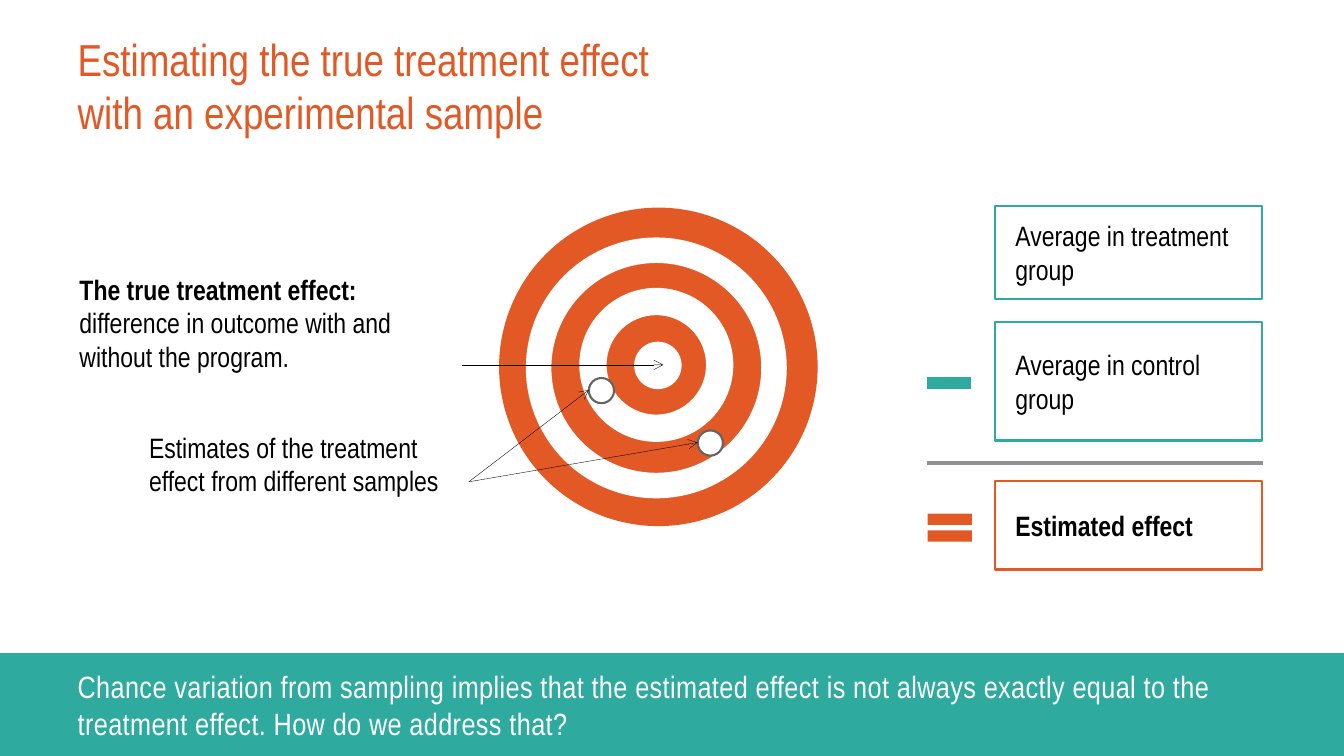
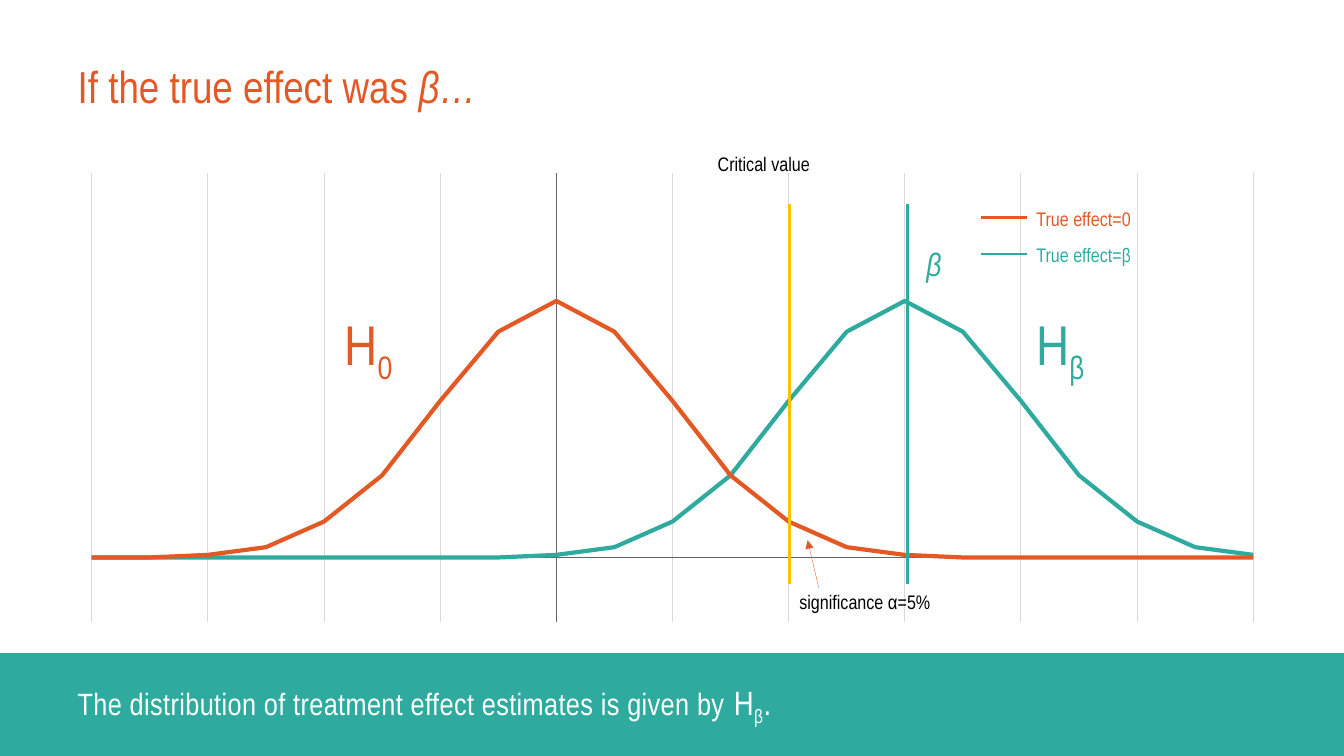
from dataclasses import dataclass

from lxml.etree import SubElement
from pptx import Presentation
from pptx.chart.data import XyChartData
from pptx.dml.color import RGBColor
from pptx.enum.chart import XL_CHART_TYPE, XL_TICK_LABEL_POSITION, XL_TICK_MARK
from pptx.enum.shapes import MSO_CONNECTOR, MSO_SHAPE
from pptx.enum.text import MSO_ANCHOR, MSO_AUTO_SIZE, PP_ALIGN
from pptx.oxml.ns import qn
from pptx.util import Inches, Pt


@dataclass(frozen=True)
class Theme:
    orange: str = "E35925"
    teal: str = "2FAA9F"
    yellow: str = "FFC000"
    white: str = "FFFFFF"
    black: str = "000000"
    dark_gray: str = "646464"
    mid_gray: str = "919191"
    light_gray: str = "D9D9D9"
    font: str = "Arial Narrow"
    chart_font: str = "Quicksand"
    title: int = 32
    takeaway: int = 22
    body: int = 20
    label: int = 14
    symbol: int = 40
    chart_text: int = 10


THEME = Theme()
SUBSCRIPT = {"baseline": -25000}


def color(value):
    return RGBColor.from_string(value)


class SlideWriter:
    """Holds the deck, its theme and the slide being written."""

    def __init__(self, theme):
        self.theme = theme
        self.deck = Presentation()
        self.deck.slide_width = Inches(13.33)
        self.deck.slide_height = Inches(7.5)
        self.layout = self.deck.slide_layouts[1]
        self.slide = None

    # Slide frame: title, takeaway and the shared band
    def new_slide(self, title_lines, takeaway):
        first = self.slide is None
        self.slide = self.deck.slides.add_slide(self.layout)
        if first:
            band = self.shape(MSO_SHAPE.RECTANGLE, 0, 6.48, 13.33, 1.02, self.theme.teal)
            self.layout.shapes._spTree.insert(2, band._element)
        title, body = self.slide.placeholders
        para = self.place(title, 0.21, 1.27)
        for index, spans in enumerate(title_lines):
            if index:
                para.add_line_break()
            self.spans(para, spans, self.theme.title, self.theme.orange)
        para = self.place(body, 6.48, 1.02)
        para.space_after = Pt(8)
        self.spans(para, takeaway, self.theme.takeaway, self.theme.white, spacing=30)

    def place(self, placeholder, top, height):
        placeholder.left, placeholder.top = Inches(0.67), Inches(top)
        placeholder.width, placeholder.height = Inches(12), Inches(height)
        frame = placeholder.text_frame
        frame.auto_size = MSO_AUTO_SIZE.NONE
        frame.vertical_anchor = MSO_ANCHOR.MIDDLE
        para = frame.paragraphs[0]
        para.alignment = PP_ALIGN.LEFT
        para.space_before = Pt(0)
        properties = para._p.get_or_add_pPr()
        properties.set("marL", "0")
        properties.set("indent", "0")
        SubElement(properties, qn("a:buNone"))
        return para

    # Text
    def spans(self, para, spans, size, fill, spacing=None):
        for text, style in spans:
            span = para.add_run()
            span.text = text
            span.font.name = self.theme.font
            span.font.size = Pt(style.get("size", size))
            span.font.bold = style.get("bold", False)
            span.font.italic = style.get("italic", False)
            span.font.color.rgb = color(fill)
            properties = span._r.get_or_add_rPr()
            if "baseline" in style:
                properties.set("baseline", str(style["baseline"]))
            if spacing:
                properties.set("spc", str(spacing))

    def text(self, left, top, width, height, spans, size, fill=THEME.black):
        box = self.slide.shapes.add_textbox(
            Inches(left), Inches(top), Inches(width), Inches(height))
        box.text_frame.word_wrap = True
        self.spans(box.text_frame.paragraphs[0], spans, size, fill)

    # Shapes and lines
    def shape(self, kind, left, top, width, height, fill=None, line=None,
              weight=1.5, adjustment=None, parent=None):
        shape = (parent or self.slide).shapes.add_shape(
            kind, Inches(left), Inches(top), Inches(width), Inches(height))
        shape.shadow.inherit = False
        if fill:
            shape.fill.solid()
            shape.fill.fore_color.rgb = color(fill)
        else:
            shape.fill.background()
        if line:
            shape.line.color.rgb = color(line)
            shape.line.width = Pt(weight)
        else:
            shape.line.fill.background()
        if adjustment is not None:
            shape.adjustments[0] = adjustment
        return shape

    def framed_text(self, top, height, line, spans):
        box = self.shape(MSO_SHAPE.RECTANGLE, 9.87, top, 2.65, height, line=line)
        frame = box.text_frame
        frame.word_wrap = True
        frame.vertical_anchor = MSO_ANCHOR.MIDDLE
        frame.margin_left = frame.margin_right = Inches(0.2)
        frame.margin_top = frame.margin_bottom = Inches(0.1)
        para = frame.paragraphs[0]
        para.alignment = PP_ALIGN.LEFT
        self.spans(para, spans, self.theme.body, self.theme.black)

    def line(self, start, end, fill, weight, arrow=None):
        line = self.slide.shapes.add_connector(
            MSO_CONNECTOR.STRAIGHT, *(Inches(value) for value in (*start, *end)))
        line.line.color.rgb = color(fill)
        line.line.width = Pt(weight)
        if arrow:
            SubElement(line.line._get_or_add_ln(), qn("a:tailEnd"), type=arrow)
        SubElement(line._element.spPr, qn("a:effectLst"))

    # Chart
    def curves(self, left, top, width, height, x_values, series):
        data = XyChartData()
        for name, values, _ in series:
            points = data.add_series(name)
            for x, y in zip(x_values, values):
                points.add_data_point(x, y)
        chart = self.slide.shapes.add_chart(
            XL_CHART_TYPE.XY_SCATTER_SMOOTH_NO_MARKERS, Inches(left), Inches(top),
            Inches(width), Inches(height), data).chart
        chart.has_legend = chart.has_title = False
        chart.font.name = self.theme.chart_font
        chart.font.size = Pt(self.theme.chart_text)
        chart.font.color.rgb = color(self.theme.black)
        chart.plots[0].vary_by_categories = False
        for points, (_, _, fill) in zip(chart.plots[0].series, series):
            points.smooth = True
            points.format.line.color.rgb = color(fill)
            points.format.line.width = Pt(3)
        limits = ((chart.category_axis, x_values[0], x_values[-1], 1),
                  (chart.value_axis, -25, 150, 25))
        for axis, low, high, step in limits:
            axis.minimum_scale, axis.maximum_scale, axis.major_unit = low, high, step
            axis.tick_label_position = XL_TICK_LABEL_POSITION.NONE
            axis.major_tick_mark = axis.minor_tick_mark = XL_TICK_MARK.NONE
            axis.format.line.color.rgb = color(self.theme.dark_gray)
            axis.format.line.width = Pt(0.75)
        chart.value_axis.has_major_gridlines = False
        chart.category_axis.has_major_gridlines = True
        grid = chart.category_axis.major_gridlines.format.line
        grid.color.rgb = color(self.theme.light_gray)
        grid.width = Pt(0.75)


def target_slide(page):
    theme = page.theme
    page.new_slide(
        [[("Estimating the true treatment effect", {})],
         [("with an experimental sample", {})]],
        [("Chance variation from sampling implies that the estimated effect is not always "
          "exactly equal to the treatment effect. How do we address that?", {})])

    # Explanations
    page.text(1.38, 4.22, 3.27, 1.11,
              [("Estimates of the treatment effect from different samples", {})], theme.body)
    page.text(0.69, 2.65, 3.87, 1.11,
              [("The true treatment effect: ", {"bold": True}),
               ("difference in outcome with and without the program.", {})], theme.body)

    # Target
    target = page.slide.shapes.add_group_shape()
    rings = ((MSO_SHAPE.OVAL, 4.95, 2.06, 3.16, theme.orange, None, 0, None),
             (MSO_SHAPE.DONUT, 5.23, 2.37, 2.56, theme.white, theme.white, 2, 0.088),
             (MSO_SHAPE.DONUT, 5.76, 2.87, 1.5, theme.white, theme.white, 2, 0.162),
             (MSO_SHAPE.OVAL, 6.3, 3.4, 0.45, theme.white, theme.white, 1.5, None))
    for kind, left, top, size, fill, line, weight, adjustment in rings:
        page.shape(kind, left, top, size, size, fill, line, weight, adjustment, target)

    # Sample estimates and arrows
    for left, top in ((5.84, 3.75), (6.92, 4.27)):
        page.shape(MSO_SHAPE.OVAL, left, top, 0.25, 0.25, theme.white, theme.dark_gray)
    for start, end in (((4.58, 3.62), (6.58, 3.62)),
                       ((4.65, 4.78), (5.84, 3.87)),
                       ((4.65, 4.78), (6.92, 4.39))):
        page.line(start, end, theme.black, 0.25, "arrow")

    # Subtraction
    for top, height, line, text, style in (
            (2.04, 0.93, theme.teal, "Average in treatment group", {}),
            (3.19, 1.18, theme.teal, "Average in control group", {}),
            (4.77, 0.88, theme.orange, "Estimated effect", {"bold": True})):
        page.framed_text(top, height, line, [(text, style)])
    page.line((9.19, 4.59), (12.53, 4.59), theme.mid_gray, 3)
    page.shape(MSO_SHAPE.MATH_EQUAL, 9.12, 5, 0.6, 0.47, theme.orange)
    page.shape(MSO_SHAPE.MATH_MINUS, 9.12, 3.53, 0.59, 0.54, theme.teal)


def distribution_slide(page):
    theme = page.theme
    page.new_slide(
        [[("If the true effect was ", {}), ("β…", {"italic": True})]],
        [("The distribution of treatment effect estimates is given by ", {}),
         ("H", {"size": 24}), ("β", {"size": 24, **SUBSCRIPT}), (".", {"size": 24})])

    # Two bell curves, the second moved right by six half steps
    x_values = [step / 2 for step in range(-8, 13)]
    bell = [0, 0, 1, 4, 14, 32, 61, 88, 100, 88, 61, 32, 14, 4, 1] + [0] * 6
    shifted = [0] * 6 + bell[:-6]
    page.curves(0.67, 1.62, 12, 4.64, x_values,
                [("Series 1", bell, theme.orange), ("Series 2", shifted, theme.teal)])

    # Hypothesis labels and legend
    for left, top, symbol, fill in ((3.32, 2.16, "0", theme.orange),
                                    (10.18, 2.52, "β", theme.teal)):
        page.text(left, 3.02, 1, 0.77, [("H", {}), (symbol, SUBSCRIPT)], theme.symbol, fill)
        page.line((9.73, top), (10.19, top), fill, 2)
        page.text(10.18, top - 0.16, 1.2, 0.27,
                  [(f"True effect={symbol}", {})], theme.label, fill)

    # Markers
    page.text(9.09, 2, 0.55, 0.55, [("β", {"italic": True, **SUBSCRIPT})],
              theme.symbol, theme.teal)
    page.text(7.02, 1.46, 2.44, 0.34, [("Critical value", {})], theme.label)
    page.text(7.83, 5.8, 1.74, 0.34, [("significance α=5%", {})], theme.label)
    page.line((8.12, 5.83), (8.01, 5.36), theme.orange, 0.25, "triangle")
    for left, fill in ((7.83, theme.yellow), (9, theme.teal)):
        page.line((left, 2.02), (left, 5.79), fill, 2.25)


def main():
    page = SlideWriter(THEME)
    target_slide(page)
    distribution_slide(page)
    page.deck.save("out.pptx")


if __name__ == "__main__":
    main()
